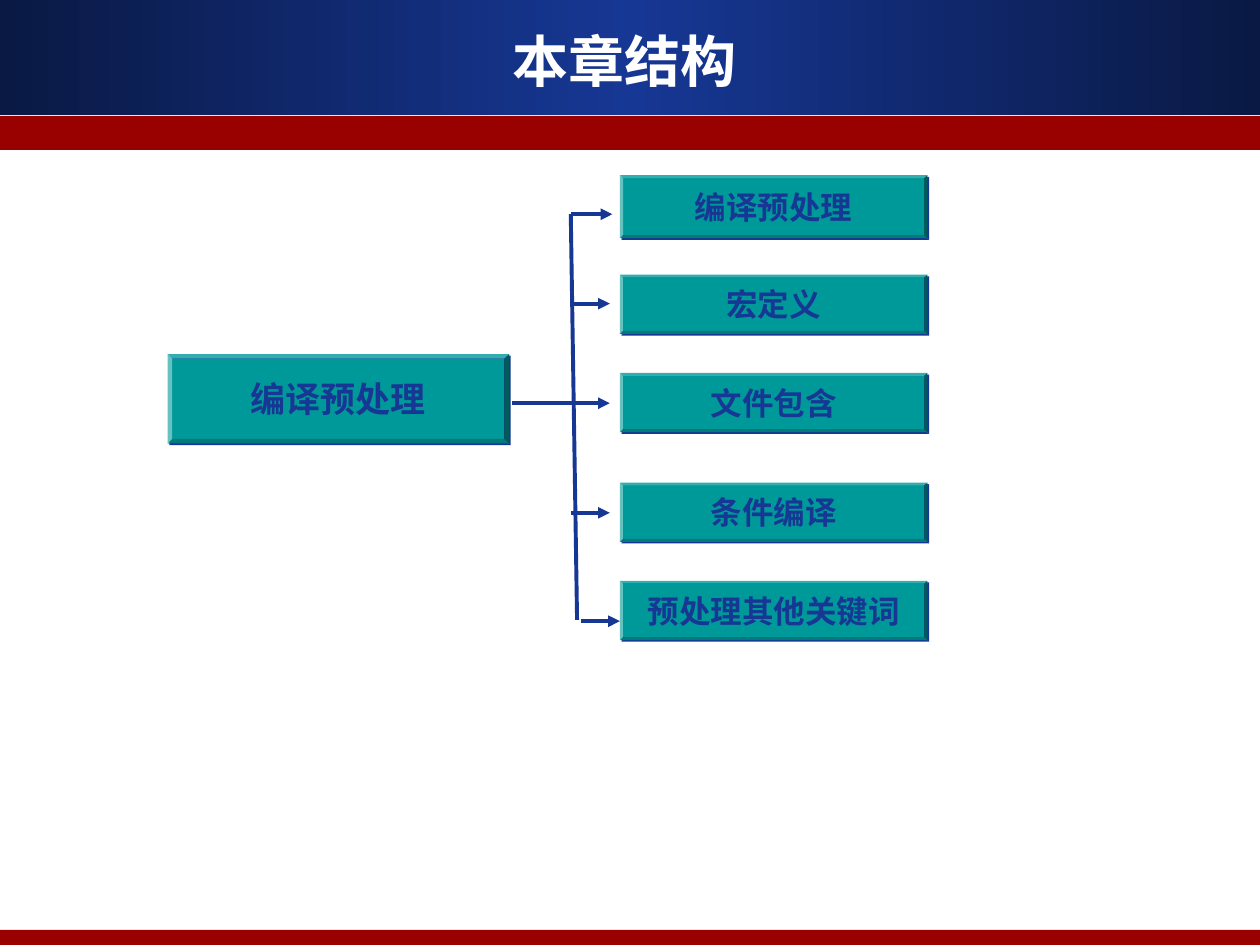
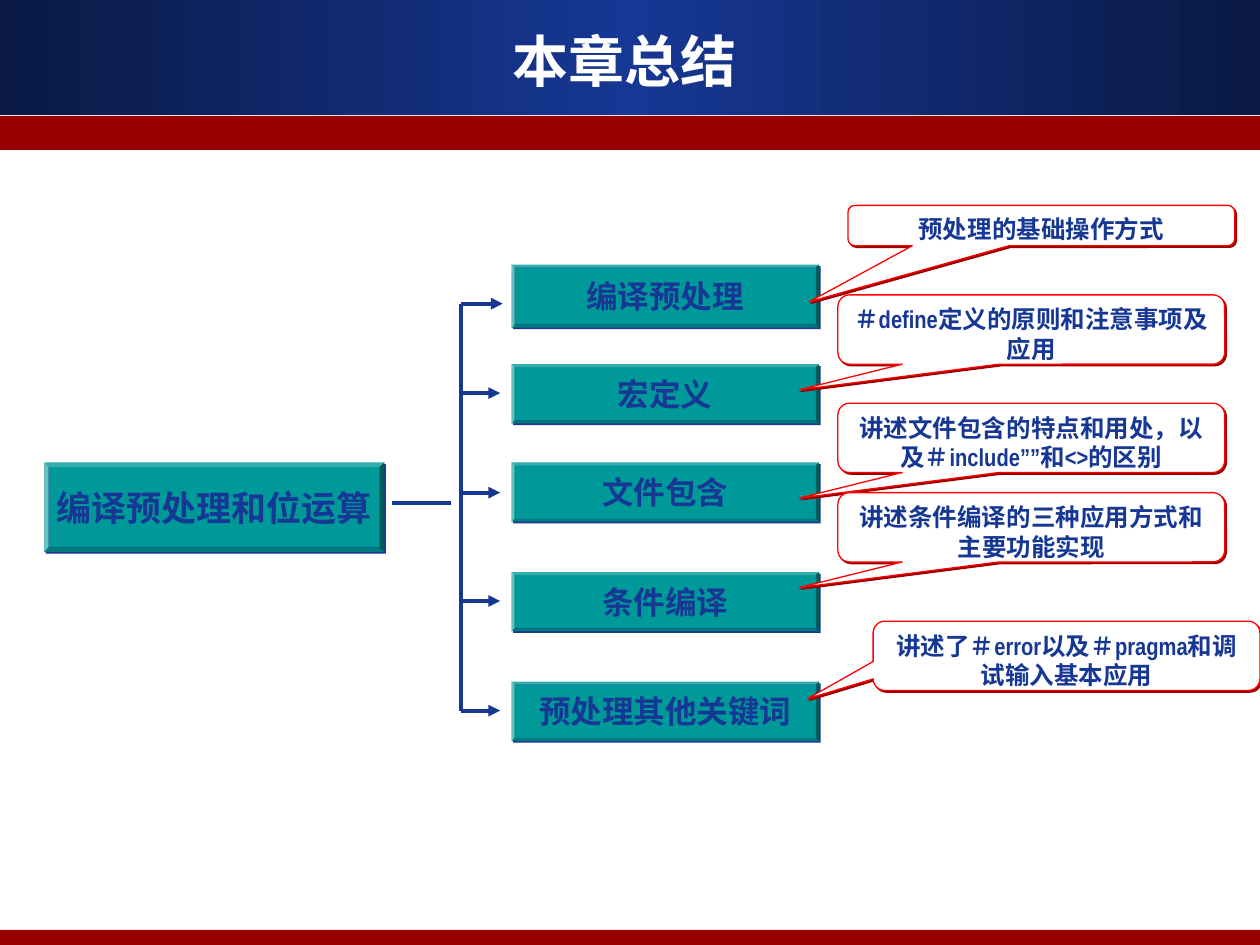
from copy import deepcopy

from lxml import etree
from pptx import Presentation
from pptx.dml.color import RGBColor
from pptx.enum.shapes import MSO_CONNECTOR, MSO_SHAPE
from pptx.enum.text import MSO_ANCHOR, PP_ALIGN
from pptx.oxml.ns import qn
from pptx.util import Inches, Pt

RECT, BEVEL = MSO_SHAPE.RECTANGLE, MSO_SHAPE.BEVEL
CALLOUT = MSO_SHAPE.ROUNDED_RECTANGULAR_CALLOUT
STRAIGHT = MSO_CONNECTOR.STRAIGHT
MIDDLE, TOP = MSO_ANCHOR.MIDDLE, MSO_ANCHOR.TOP
CENTER = PP_ALIGN.CENTER

NAVY, BLUE, RED = "0A1944", "163794", "990000"
TEAL, BRIGHT_RED, WHITE = "009999", "FF0000", "FFFFFF"
CJK_FONT = "Noto Sans CJK SC"

TITLE_STYLE = {"size": 32, "color": WHITE, "latin": "DejaVu Sans", "asian": "DejaVu Sans"}
ROOT_STYLE = {"size": 20, "color": BLUE, "latin": CJK_FONT, "asian": CJK_FONT}
TOPIC_STYLE = {**ROOT_STYLE, "size": 18}
NOTE_STYLE = {"size": 14, "color": BLUE, "latin": "Arial Narrow", "asian": "Arial Narrow"}

TOPICS = ["编译预处理", "宏定义", "文件包含", "条件编译", "预处理其他关键词"]
TOPIC_HEIGHTS = [0.5, 0.47, 0.47, 0.47, 0.47]
TOPIC_WIDTH = 2.44
ARROW_LENGTHS = [0.33, 0.31, 0.31, 0.31, 0.31]

SLIDES = [
    {
        "title": "本章结构",
        "root": ("编译预处理", (1.33, 2.81, 2.71, 0.71)),
        "topic_left": 4.92,
        "topic_tops": [1.39, 2.18, 2.96, 3.83, 4.61],
        "trunk": (4.53, 1.7, 4.58, 4.92),
        "stem": (4.06, 3.2, 4.53, 3.2),
        "arrow_starts": [(4.53, 1.7), (4.53, 2.41), (4.53, 3.2), (4.53, 4.07), (4.61, 4.93)],
        "notes": [],
    },
    {
        "title": "本章总结",
        "root": ("编译预处理和位运算", (0.35, 3.67, 2.7, 0.71)),
        "topic_left": 4.06,
        "topic_tops": [2.1, 2.89, 3.67, 4.54, 5.41],
        "trunk": (3.66, 2.41, 3.66, 5.64),
        "stem": (3.11, 3.99, 3.58, 3.99),
        "arrow_starts": [(3.66, y) for y in (2.41, 3.12, 3.91, 4.77, 5.64)],
        "notes": [
            ("预处理的基础操作方式", (6.73, 1.63, 3.07, 0.32), (-0.6, 1.89)),
            ("＃define定义的原则和注意事项及应用", (6.65, 2.34, 3.07, 0.55), (-0.6, 0.87)),
            ("讲述文件包含的特点和用处，以及＃include””和<>的区别",
             (6.65, 3.2, 3.07, 0.55), (-0.6, 0.87)),
            ("讲述条件编译的三种应用方式和主要功能实现", (6.65, 3.91, 3.07, 0.55), (-0.6, 0.87)),
            ("讲述了＃error以及＃pragma和调试输入基本应用",
             (6.93, 4.93, 3.07, 0.55), (-0.67, 0.62)),
        ],
    },
]


def rgb(color):
    return RGBColor.from_string(color)


def lengths(values):
    return [Inches(value) for value in values]


def write(shape, text, style, anchor=MIDDLE, wrap=True, insets=(0.1, 0.05)):
    side, edge = lengths(insets)
    frame_format = {"vertical_anchor": anchor, "word_wrap": wrap, "margin_left": side,
                    "margin_right": side, "margin_top": edge, "margin_bottom": edge}
    for name, value in frame_format.items():
        setattr(shape.text_frame, name, value)
    paragraph = shape.text_frame.paragraphs[0]
    paragraph.alignment = CENTER
    run = paragraph.add_run()
    run.text = text
    for name, value in {"size": Pt(style["size"]), "bold": True, "name": style["latin"]}.items():
        setattr(run.font, name, value)
    run.font.color.rgb = rgb(style["color"])
    latin = run.font._element.find(qn("a:latin"))
    asian = etree.Element(qn("a:ea"), typeface=style["asian"])
    latin.addnext(asian)


def add_box(slide, preset, place, fill, outline=None, shadow=None):
    box = slide.shapes.add_shape(preset, *lengths(place))
    box.shadow.inherit = False
    box.fill.solid()
    box.fill.fore_color.rgb = rgb(fill)
    if outline:
        box.line.color.rgb = rgb(outline)
        box.line.width = Pt(0.75)
    else:
        box.line.fill.background()
    if shadow:
        effects = box._element.spPr.find(qn("a:effectLst"))
        outer = etree.SubElement(effects, qn("a:outerShdw"), dist=str(Pt(1.4)),
                                 dir="2700000", algn="ctr", rotWithShape="0")
        etree.SubElement(outer, qn("a:srgbClr"), val=shadow)
    return box


def add_line(slide, ends, arrow=False):
    line = slide.shapes.add_connector(STRAIGHT, *lengths(ends))
    line.line.color.rgb = rgb(BLUE)
    line.line.width = Pt(2.25)
    if arrow:
        etree.SubElement(line.line._get_or_add_ln(), qn("a:tailEnd"), type="triangle")
    etree.SubElement(line._element.spPr, qn("a:effectLst"))


def add_frame(slide, title):
    header = add_box(slide, RECT, (0, 0, 10, 0.91), BLUE)
    header.fill.gradient()
    header.fill.gradient_angle = 0
    first_stop = header._element.spPr.find(".//" + qn("a:gs"))
    first_stop.addnext(deepcopy(first_stop))
    for stop, (position, color) in zip(header.fill.gradient_stops,
                                       [(0, NAVY), (0.5, BLUE), (1, NAVY)]):
        stop.position = position
        stop.color.rgb = rgb(color)
    for top, height in [(0.92, 0.27), (7.38, 0.12)]:
        add_box(slide, RECT, (0, top, 10, height), RED)
    heading = slide.shapes.add_textbox(*lengths((0.33, 0.16, 9.25, 0.63)))
    write(heading, title, TITLE_STYLE, insets=(0, 0))


def add_bevel(slide, text, place, style):
    bevel = add_box(slide, BEVEL, place, TEAL, shadow=BLUE)
    bevel.adjustments[0] = 0.05
    write(bevel, text, style, wrap=False)


def add_tree(slide, chapter):
    add_bevel(slide, *chapter["root"], ROOT_STYLE)
    add_line(slide, chapter["trunk"])
    add_line(slide, chapter["stem"])
    for (x, y), length in zip(chapter["arrow_starts"], ARROW_LENGTHS):
        add_line(slide, (x, y, x + length, y), arrow=True)
    for topic, top, height in zip(TOPICS, chapter["topic_tops"], TOPIC_HEIGHTS):
        add_bevel(slide, topic, (chapter["topic_left"], top, TOPIC_WIDTH, height), TOPIC_STYLE)


def add_note(slide, text, place, pointer):
    note = add_box(slide, CALLOUT, place, WHITE, BRIGHT_RED, RED)
    for index, value in enumerate((*pointer, 0.17)):
        note.adjustments[index] = value
    write(note, text, NOTE_STYLE, anchor=TOP)


def main():
    deck = Presentation()
    deck.slide_width, deck.slide_height = lengths((10, 7.5))
    for chapter in SLIDES:
        slide = deck.slides.add_slide(deck.slide_layouts[6])
        add_frame(slide, chapter["title"])
        add_tree(slide, chapter)
        for note in chapter["notes"]:
            add_note(slide, *note)
    deck.save("out.pptx")


if __name__ == "__main__":
    main()
